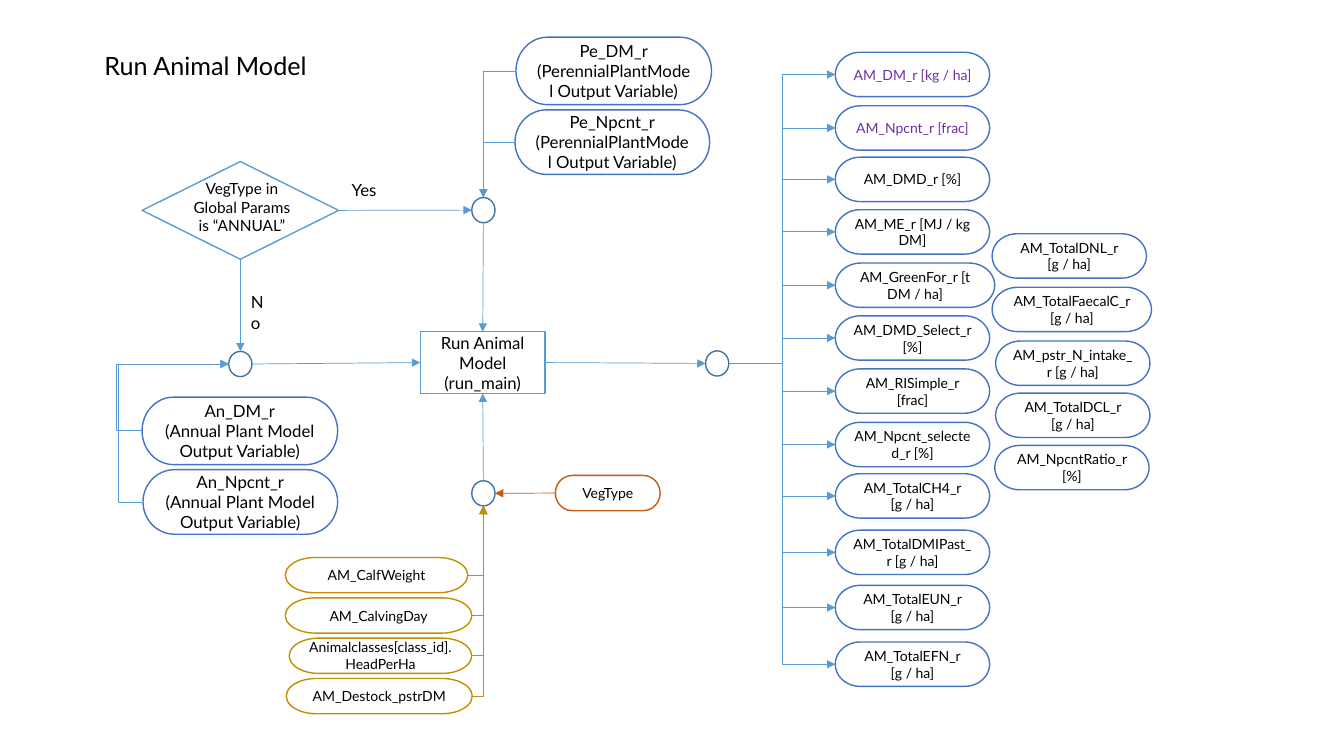
from dataclasses import dataclass
from typing import Any, Optional

from lxml import etree
from pptx import Presentation
from pptx import util as u
from pptx.dml import color as dml
from pptx.enum import shapes as kinds, text as txt
from pptx.oxml import ns

BLUE, NAVY, HUB = "5B9BD5", "4472C4", "43739E"
AMBER, RUST, PURPLE = "BF9000", "C55A11", "7030A0"
WHITE, BLACK = "FFFFFF", "000000"
PILL = kinds.MSO_SHAPE.FLOWCHART_TERMINATOR
SIDES = ("top", "left", "bottom", "right")


@dataclass
class Node:
    """A flowchart step; lengths are in points."""
    words: str
    left: float
    top: float
    width: float
    height: float
    outline: str = NAVY
    size: float = 10
    ink: str = BLACK
    preset: kinds.MSO_SHAPE = PILL
    fill: Optional[str] = WHITE


@dataclass
class Flow:
    """An arrow between sides of two drawn steps."""
    source: Any
     # side the arrow leaves from
    leave: str
    target: Any
    enter: str
    ink: str = BLUE
    bend: Optional[str] = None
    adjust: Optional[int] = None


def rgb(code: str) -> dml.RGBColor:
    """Turn a hex string into a colour."""
    return dml.RGBColor.from_string(code)


def write(frame: Any, words: str, size: float, ink: str = BLACK,
          align: txt.PP_ALIGN = txt.PP_ALIGN.CENTER, **frame_format: Any) -> None:
    """Fill a text frame, one paragraph per line of words."""
    for name, value in frame_format.items():
        setattr(frame, name, value)
    frame.text = words
    for paragraph in frame.paragraphs:
        paragraph.alignment = align
        for run in paragraph.runs:
            for name, value in {"name": "Lato", "size": u.Pt(size)}.items():
                setattr(run.font, name, value)
            run.font.color.rgb = rgb(ink)


def draw_node(slide: Any, node: Node) -> Any:
    """Draw one step and return its shape."""
    box = map(u.Pt, (node.left, node.top, node.width, node.height))
    shape = slide.shapes.add_shape(node.preset, *box)
    shape.shadow.inherit = False
    if node.fill:
        shape.fill.solid()
        shape.fill.fore_color.rgb = rgb(node.fill)
    else:
        shape.fill.background()
    shape.line.color.rgb = rgb(node.outline)
    shape.line.width = u.Pt(1)
    if node.words:
        write(shape.text_frame, node.words, node.size, node.ink,
              word_wrap=True, vertical_anchor=txt.MSO_ANCHOR.MIDDLE)
    return shape


def draw_hub(slide: Any, left: float, top: float) -> Any:
    """Draw a small circle where flows join."""
    return draw_node(slide, Node("", left, top, 16.6, 18, HUB,
                                 preset=kinds.MSO_SHAPE.OVAL, fill=None))


def draw_label(slide: Any, words: str, box: tuple, size: float,
               align: txt.PP_ALIGN, wrap: bool) -> None:
    """Draw free text."""
    label = slide.shapes.add_textbox(*map(u.Pt, box))
    write(label.text_frame, words, size, align=align, word_wrap=wrap)


def side_point(shape: Any, side: str) -> tuple:
    """Return the middle of one side of a shape."""
    across, down = {"top": (0.5, 0), "left": (0, 0.5),
                    "bottom": (0.5, 1), "right": (1, 0.5)}[side]
    return (int(shape.left + across * shape.width),
            int(shape.top + down * shape.height))


def glue(end: Any, shape: Any, side: str) -> None:
    """Attach a connector end; circles have a site between each two sides."""
    is_hub = shape.auto_shape_type == kinds.MSO_SHAPE.OVAL
    end.set("id", str(shape.shape_id))
    end.set("idx", str(SIDES.index(side) * (2 if is_hub else 1)))


def draw_flow(slide: Any, flow: Flow) -> None:
    """Draw one arrow, straight or bent."""
    kind = kinds.MSO_CONNECTOR.ELBOW if flow.bend else kinds.MSO_CONNECTOR.STRAIGHT
    arrow = slide.shapes.add_connector(kind, *side_point(flow.source, flow.leave),
                                       *side_point(flow.target, flow.enter))
    arrow.line.color.rgb = rgb(flow.ink)
    arrow.line.width = u.Pt(0.5)
    ends = arrow._element.nvCxnSpPr.cNvCxnSpPr
    glue(etree.SubElement(ends, ns.qn("a:stCxn")), flow.source, flow.leave)
    glue(etree.SubElement(ends, ns.qn("a:endCxn")), flow.target, flow.enter)
    properties = arrow._element.spPr
    if flow.bend:
        geometry = properties.find(ns.qn("a:prstGeom"))
        geometry.set("prst", flow.bend)
        if flow.adjust is not None:
            guides = geometry.find(ns.qn("a:avLst"))
            etree.SubElement(guides, ns.qn("a:gd"), name="adj1", fmla=f"val {flow.adjust}")
    etree.SubElement(properties.find(ns.qn("a:ln")), ns.qn("a:tailEnd"), type="triangle")
    etree.SubElement(properties, ns.qn("a:effectLst"))


deck = Presentation()
deck.slide_width, deck.slide_height = u.Pt(960), u.Pt(540)
slide = deck.slides.add_slide(deck.slide_layouts[5])

heading = slide.shapes.title
for name, value in {"left": 66.2, "top": 32.4, "width": 161.3, "height": 28.8}.items():
    setattr(heading, name, u.Pt(value))
write(heading.text_frame, "Run Animal Model", 18, word_wrap=False,
      auto_size=txt.MSO_AUTO_SIZE.NONE, vertical_anchor=txt.MSO_ANCHOR.TOP)

run_model = draw_node(slide, Node("Run Animal Model\n(run_main)", 300.2, 236.9, 89.3, 44.2,
                                  BLUE, 12, preset=kinds.MSO_SHAPE.RECTANGLE))
decision = draw_node(slide, Node("", 101.5, 115.4, 140.4, 69.8, BLUE,
                                 preset=kinds.MSO_SHAPE.FLOWCHART_DECISION))
LEFT, CENTER = txt.PP_ALIGN.LEFT, txt.PP_ALIGN.CENTER
draw_label(slide, "VegType in\nGlobal Params\nis “ANNUAL”", (130.3, 124.6, 85, 60.5),
           11, CENTER, False)
draw_label(slide, "Yes", (244.1, 124.6, 32.4, 21.6), 12, LEFT, False)
draw_label(slide, "No", (172.1, 205.2, 29.5, 21.6), 12, LEFT, True)

perennial_hub = draw_hub(slide, 337, 141.1)
annual_hub = draw_hub(slide, 163.4, 251)
input_hub = draw_hub(slide, 337, 343.4)
output_hub = draw_hub(slide, 504, 250.6)

annual_note = "\n(Annual Plant Model Output Variable)"
perennial_note = "\n(PerennialPlantModel Output Variable)"
annual_dm, annual_npcnt, perennial_dm, perennial_npcnt = [
    draw_node(slide, Node(*plant, size=12)) for plant in (
        ("An_DM_r" + annual_note, 101.5, 283.7, 139.7, 48.2),
        ("An_Npcnt_r" + annual_note, 102.2, 335.5, 139, 46.1),
        ("Pe_DM_r" + perennial_note, 368.6, 26.6, 139.7, 48.2),
        ("Pe_Npcnt_r" + perennial_note, 367.9, 78.5, 139, 46.1))]

OUTPUT_W, WIDE_W, OUTPUT_H = 110.2, 113.8, 31.7
outputs = [draw_node(slide, Node(words, 596.7, top, width, OUTPUT_H, ink=ink))
           for words, top, width, ink in (
    ("AM_DM_r [kg / ha]", 37.4, OUTPUT_W, PURPLE),
    ("AM_Npcnt_r [frac]", 75.6, OUTPUT_W, PURPLE),
    ("AM_DMD_r [%]", 112.3, OUTPUT_W, BLACK),
    ("AM_ME_r [MJ / kg DM]", 149.8, OUTPUT_W, BLACK),
    ("AM_GreenFor_r [t DM / ha]", 187.9, WIDE_W, BLACK),
    ("AM_DMD_Select_r [%]", 225.6, OUTPUT_W, BLACK),
    ("AM_RISimple_r [frac]", 263.5, OUTPUT_W, BLACK),
    ("AM_Npcnt_selected_r [%]", 301.7, OUTPUT_W, BLACK),
    ("AM_TotalCH4_r [g / ha]", 338.4, OUTPUT_W, BLACK),
    ("AM_TotalDMIPast_r [g / ha]", 378.7, OUTPUT_W, BLACK),
    ("AM_TotalEUN_r [g / ha]", 418.1, OUTPUT_W, BLACK),
    ("AM_TotalEFN_r [g / ha]", 458.6, OUTPUT_W, BLACK))]
for words, left, top, width in (
        ("AM_TotalDNL_r [g / ha]", 708.7, 167, OUTPUT_W),
        ("AM_TotalFaecalC_r [g / ha]", 708.7, 205.2, WIDE_W),
        ("AM_pstr_N_intake_r [g / ha]", 711.2, 243.6, OUTPUT_W),
        ("AM_TotalDCL_r [g / ha]", 711.2, 280.8, OUTPUT_W),
        ("AM_NpcntRatio_r [%]", 710.6, 318.2, OUTPUT_W)):
    draw_node(slide, Node(words, left, top, width, OUTPUT_H))

INPUT_H = 25.2
inputs = [draw_node(slide, Node(words, left, 398.2 + 28.8 * row, width, INPUT_H, AMBER))
          for row, (words, left, width) in enumerate((
    ("AM_CalfWeight", 203.8, 130.3),
    ("AM_CalvingDay", 203.8, 133.2),
    ("Animalclasses[class_id].\nHeadPerHa", 206.6, 130.3),
    ("AM_Destock_pstrDM", 204.5, 132.8)))]
veg_type = draw_node(slide, Node("VegType", 396.7, 339.6, 74.9, INPUT_H, RUST))

CORNER, STEP = "bentConnector2", "bentConnector3"
flows = [
    Flow(decision, "right", perennial_hub, "left"),
    Flow(decision, "bottom", annual_hub, "top"),
    Flow(annual_hub, "right", run_model, "left"),
    Flow(perennial_hub, "bottom", run_model, "top"),
    Flow(run_model, "right", output_hub, "left"),
    Flow(input_hub, "top", run_model, "bottom"),
    Flow(veg_type, "left", input_hub, "right", RUST),
]
flows += [Flow(plant, "left", annual_hub, "left", bend=STEP, adjust=-29200)
          for plant in (annual_dm, annual_npcnt)]
flows += [Flow(plant, "left", perennial_hub, "top", bend=CORNER)
          for plant in (perennial_dm, perennial_npcnt)]
flows += [Flow(output_hub, "right", output, "left", bend=STEP) for output in outputs]
flows += [Flow(entry, "right", input_hub, "bottom", AMBER, CORNER) for entry in inputs]
for flow in flows:
    draw_flow(slide, flow)

deck.save("out.pptx")
